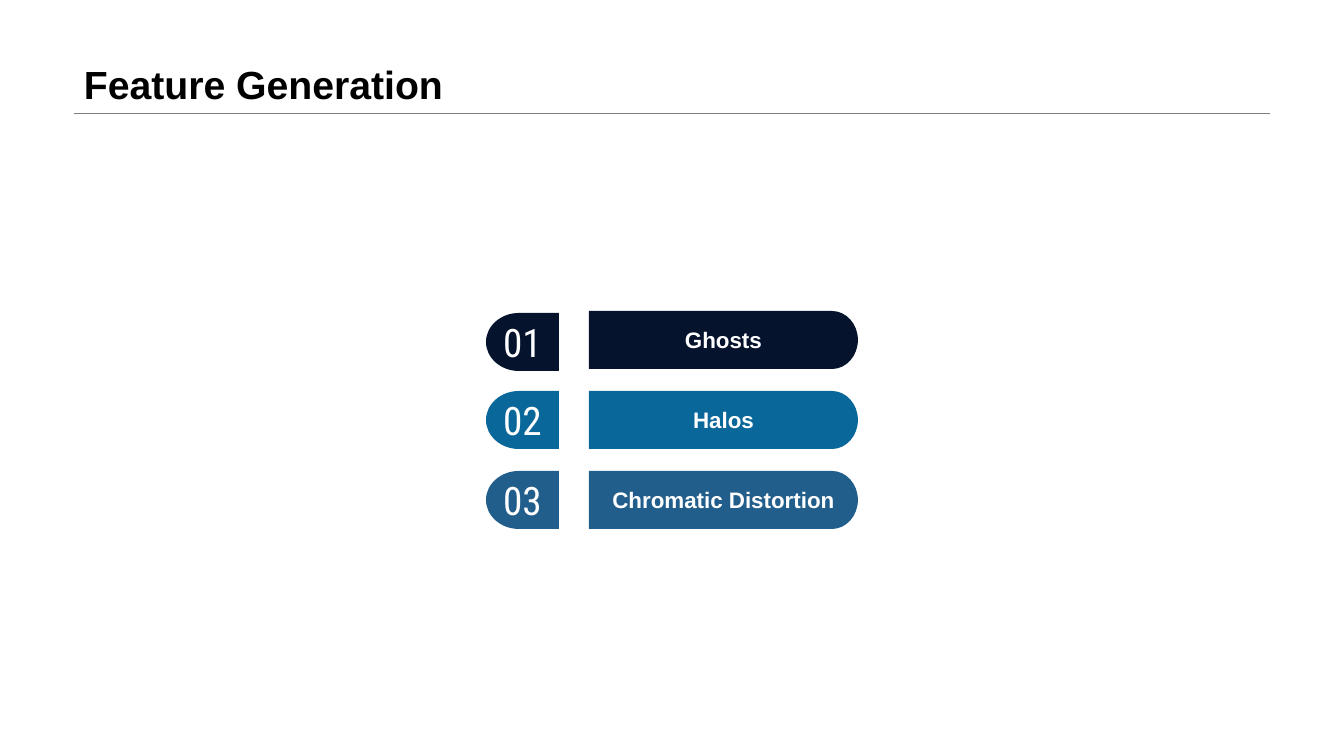
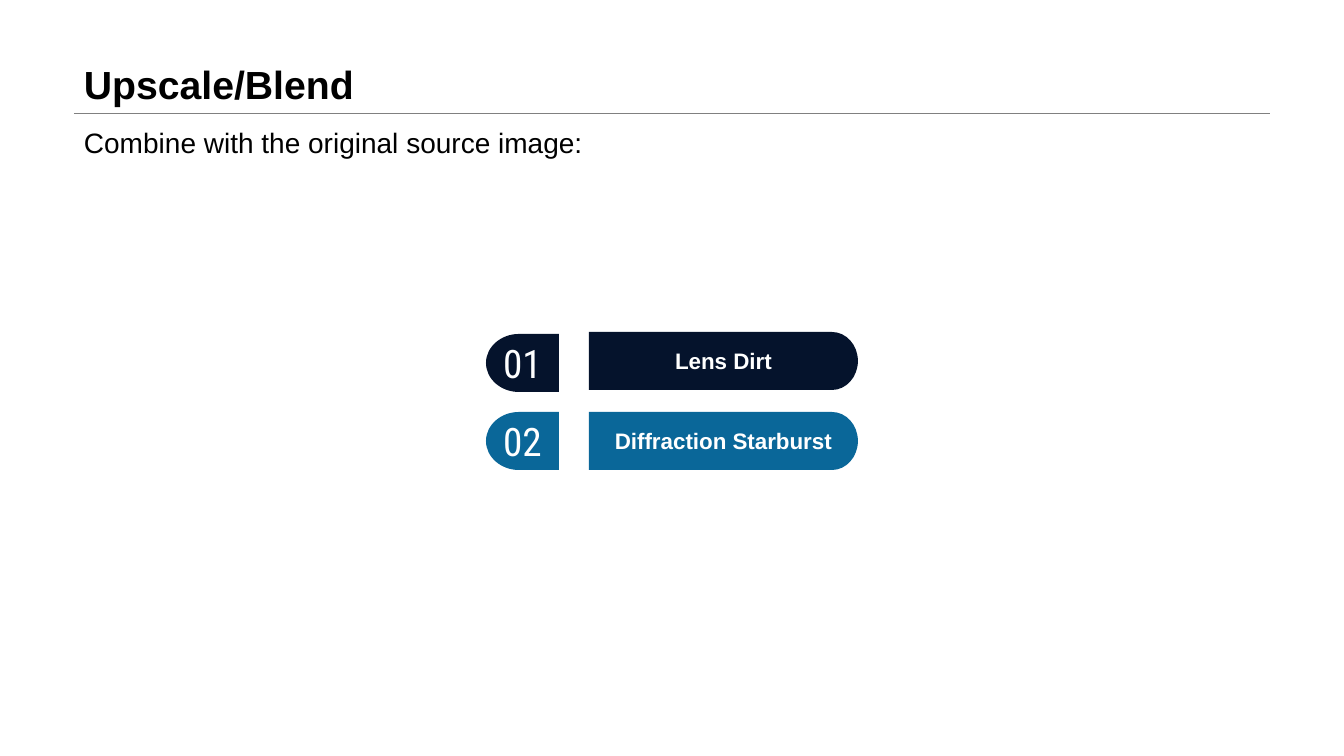
import pptx
import pptx.dml.color
import pptx.enum.shapes
import pptx.enum.text
import pptx.oxml.ns
import pptx.util
from lxml import etree

# Content
SLIDES = [
    {"title": "Feature Generation", "body": None, "top": 311,
     "items": ["Ghosts", "Halos", "Chromatic Distortion"]},
    {"title": "Upscale/Blend", "body": "Combine with the original source image:", "top": 332,
     "items": ["Lens Dirt", "Diffraction Starburst"]},
]

# Shared style, lengths in px
COLORS = {"text": "000000", "white": "FFFFFF", "rule": "808080"}
ROW_COLORS = ["05132C", "0A6799", "215E8B"]
EMU_PER_PX = 914400 / 100.8
SLIDE_WIDTH, SLIDE_HEIGHT = 1344, 756
MARGIN, CONTENT_WIDTH, RULE_Y = 74, 1196, 113
BODY_TOP, BODY_HEIGHT = 124, 553
ROW_HEIGHT, ROW_PITCH = 58, 80
FIRST_NUMBER_DROP = 2
NUMBER = {"flat_x": 559, "tip_x": 486, "curve": 33}
LABEL = {"flat_x": 589, "tip_x": 858, "curve": 26}
ARC_HANDLE = 0.55  # Bezier handle length of a quarter ellipse

ALIGN = pptx.enum.text.PP_ALIGN
ANCHOR = pptx.enum.text.MSO_ANCHOR


def px(length):
    return pptx.util.Emu(round(length * EMU_PER_PX))


def rgb(value):
    return pptx.dml.color.RGBColor.from_string(value)


def write_text(shape, text, size, color, font="Arial", bold=False, align=ALIGN.LEFT,
               anchor=ANCHOR.TOP, wrap=True, line_spacing=None):
    frame = shape.text_frame
    frame.word_wrap = wrap
    frame.vertical_anchor = anchor
    paragraph = frame.paragraphs[0]
    paragraph.alignment = align
    paragraph.line_spacing = line_spacing
    run = paragraph.add_run()
    run.text = text
    run.font.name = font
    run.font.size = pptx.util.Pt(size)
    run.font.bold = bold
    run.font.color.rgb = rgb(color)


def set_outline(shape, commands):
    """Replace the outline by (command, points), points in px from the shape's corner."""
    outline = next(shape._element.iter(pptx.oxml.ns.qn("a:path")))
    for child in list(outline):
        outline.remove(child)
    for name, points in commands:
        command = etree.SubElement(outline, pptx.oxml.ns.qn(f"a:{name}"))
        for x, y in points:
            etree.SubElement(command, pptx.oxml.ns.qn("a:pt"), x=str(px(x)), y=str(px(y)))


def add_tab(slide, top, color, flat_x, tip_x, curve):
    """Bar with one square end at flat_x and one elliptical end at tip_x."""
    bottom = top + ROW_HEIGHT
    builder = slide.shapes.build_freeform(px(flat_x), px(top))
    builder.add_line_segments([(px(tip_x), px(top)), (px(tip_x), px(bottom)),
                               (px(flat_x), px(bottom))], close=True)
    shape = builder.convert_to_shape()

    left = min(flat_x, tip_x)
    flat, tip = flat_x - left, tip_x - left
    inward = 1 if flat > tip else -1
    start = tip + inward * curve
    handle_x = tip + inward * curve * (1 - ARC_HANDLE)
    middle = ROW_HEIGHT / 2
    handle_y = middle * ARC_HANDLE
    set_outline(shape, [
        ("moveTo", [(flat, 0)]),
        ("lnTo", [(start, 0)]),
        ("cubicBezTo", [(handle_x, 0), (tip, middle - handle_y), (tip, middle)]),
        ("cubicBezTo", [(tip, middle + handle_y), (handle_x, ROW_HEIGHT),
                        (start, ROW_HEIGHT)]),
        ("lnTo", [(flat, ROW_HEIGHT)]),
        ("close", []),
    ])
    shape.shadow.inherit = False
    shape.fill.solid()
    shape.fill.fore_color.rgb = rgb(color)
    shape.line.fill.background()
    return shape


def add_header(slide, title):
    rule = slide.shapes.add_connector(
        pptx.enum.shapes.MSO_CONNECTOR.STRAIGHT,
        px(MARGIN), px(RULE_Y), px(MARGIN + CONTENT_WIDTH), px(RULE_Y))
    rule.line.color.rgb = rgb(COLORS["rule"])
    rule.line.width = pptx.util.Pt(0.25)
    etree.SubElement(rule._element.spPr, pptx.oxml.ns.qn("a:effectLst"))
    box = slide.shapes.add_textbox(px(MARGIN), 0, px(CONTENT_WIDTH), px(RULE_Y))
    write_text(box, title, 28, COLORS["text"], bold=True, anchor=ANCHOR.BOTTOM,
               line_spacing=0.9)


def add_rows(slide, items, first_top):
    centred = {"align": ALIGN.CENTER, "anchor": ANCHOR.MIDDLE, "wrap": False}
    for index, (item, color) in enumerate(zip(items, ROW_COLORS)):
        top = first_top + index * ROW_PITCH
        number_top = top + (FIRST_NUMBER_DROP if index == 0 else 0)
        number = add_tab(slide, number_top, color, **NUMBER)
        write_text(number, f"{index + 1:02d}", 28, COLORS["white"],
                   font="Roboto Condensed", **centred)
        label = add_tab(slide, top, color, **LABEL)
        write_text(label, item, 16, COLORS["white"], bold=True, **centred)


def main():
    presentation = pptx.Presentation()
    presentation.slide_width = px(SLIDE_WIDTH)
    presentation.slide_height = px(SLIDE_HEIGHT)
    for content in SLIDES:
        slide = presentation.slides.add_slide(presentation.slide_layouts[6])
        add_header(slide, content["title"])
        if content["body"]:
            body = slide.shapes.add_textbox(px(MARGIN), px(BODY_TOP),
                                            px(CONTENT_WIDTH), px(BODY_HEIGHT))
            write_text(body, content["body"], 20, COLORS["text"], line_spacing=0.9)
        add_rows(slide, content["items"], content["top"])
    presentation.save("out.pptx")


if __name__ == "__main__":
    main()
